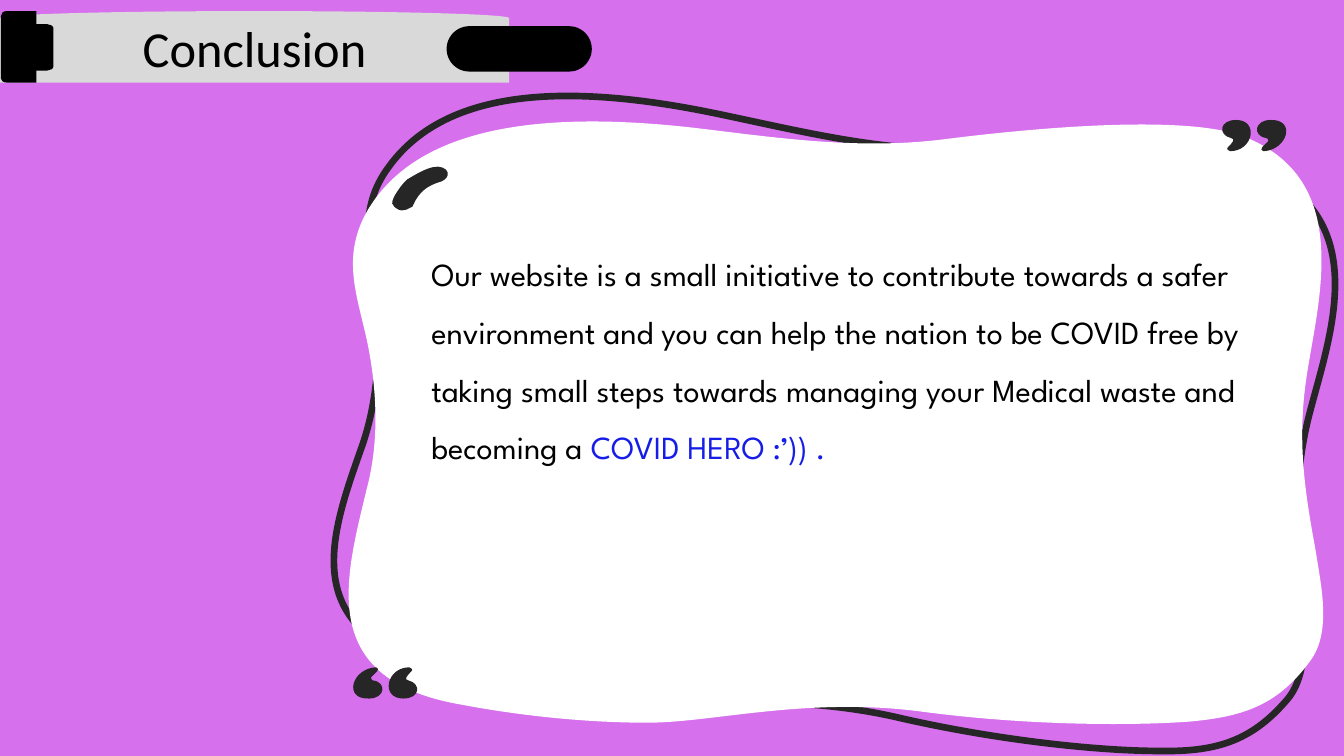
from lxml.etree import SubElement
from pptx import Presentation
from pptx.dml.color import RGBColor
from pptx.enum.shapes import MSO_SHAPE as Preset
from pptx.enum.text import MSO_ANCHOR as Anchor, MSO_AUTO_SIZE as AutoSize, PP_ALIGN as Align
from pptx.oxml.ns import qn
from pptx.util import Inches, Pt

INK, BLACK = "262626", "000000"

FRAME_LINE = [
    (8.87, 7.11), (9.9, 7.35, 10.92, 7.45, 11.5, 7.45), (12.05, 7.46, 12.4, 7.36, 12.75, 6.96),
    (13, 6.69, 12.93, 6.22, 12.9, 5.89), (12.86, 5.28, 12.83, 4.81, 12.96, 4.22),
    (13.13, 3.48, 13.66, 2.28, 12.59, 1.73), (11.99, 1.43, 10.27, 1.46, 9.63, 1.48),
    (8.77, 1.51, 7.98, 1.31, 7.17, 1.14), (5.72, 0.83, 4.45, 0.84, 3.86, 1.65),
    (3.53, 2.09, 3.68, 2.49, 3.73, 2.99), (3.78, 3.51, 3.74, 3.98, 3.6, 4.4),
    (3.29, 5.28, 2.92, 6.23, 4.32, 6.62), (4.89, 6.78, 5.54, 6.91, 6.14, 6.97),
    (6.79, 7.03, 7.74, 6.86, 8.87, 7.11),
]
WHITE_PANEL = [
    (9.14, 7.06), (10.19, 7.2, 11.22, 7.2, 11.79, 7.16), (12.35, 7.11, 12.68, 6.99, 13, 6.55),
    (13.21, 6.26, 13.1, 5.8, 13.05, 5.47), (12.94, 4.87, 12.87, 4.4, 12.95, 3.8),
    (13.05, 3.05, 13.46, 1.81, 12.35, 1.36), (11.73, 1.11, 10.01, 1.3, 9.38, 1.38),
    (8.53, 1.49, 7.73, 1.37, 6.9, 1.27), (5.43, 1.1, 4.16, 1.23, 3.65, 2.08),
    (3.37, 2.56, 3.55, 2.94, 3.65, 3.43), (3.75, 3.94, 3.75, 4.42, 3.64, 4.84),
    (3.42, 5.75, 3.13, 6.74, 4.57, 6.99), (5.15, 7.1, 5.81, 7.17, 6.42, 7.17),
    (7.07, 7.17, 8, 6.91, 9.14, 7.06),
]
CLOSING_QUOTES = [
    [(12.6, 1.19), (12.86, 1.18, 12.77, 1.49, 12.53, 1.5), (12.51, 1.5, 12.5, 1.47, 12.52, 1.46),
     (12.54, 1.44, 12.56, 1.42, 12.58, 1.4), (12.58, 1.38, 12.57, 1.37, 12.56, 1.37),
     (12.42, 1.35, 12.44, 1.19, 12.6, 1.19)],
    [(12.26, 1.19), (12.49, 1.19, 12.43, 1.5, 12.2, 1.5), (12.18, 1.5, 12.16, 1.47, 12.18, 1.46),
     (12.2, 1.44, 12.22, 1.42, 12.23, 1.4), (12.24, 1.39, 12.23, 1.37, 12.21, 1.37),
     (12.08, 1.34, 12.09, 1.19, 12.26, 1.19)],
]
QUOTE_TURN = (16.26, 8.12)
HIGHLIGHT = [
    (4.1, 2.03), (4.16, 1.9, 4.24, 1.84, 4.38, 1.8), (4.42, 1.78, 4.45, 1.75, 4.44, 1.71),
    (4.43, 1.67, 4.36, 1.64, 4.29, 1.66), (4.21, 1.68, 4.14, 1.72, 4.04, 1.78),
    (3.99, 1.82, 3.88, 1.97, 3.89, 2.02), (3.91, 2.07, 3.98, 2.12, 4.07, 2.06),
    (4.08, 2.06, 4.1, 2.05, 4.1, 2.03),
]
TITLE_BAND = [
    (5.05, 0.82), (0, 0.82), (0, 0.18), (0, 0.14, 1.13, 0.11, 2.52, 0.11),
    (3.92, 0.11, 5.05, 0.14, 5.05, 0.18),
]
MARKER_CAP = [
    (0.01, 0.78), (0.01, 0.16), (0.01, 0.13, 0.03, 0.11, 0.07, 0.11), (0.36, 0.11), (0.36, 0.24),
    (0.47, 0.24), (0.5, 0.24, 0.53, 0.26, 0.53, 0.28), (0.53, 0.66),
    (0.53, 0.68, 0.5, 0.7, 0.47, 0.7), (0.36, 0.7), (0.36, 0.82), (0.07, 0.82),
    (0.03, 0.82, 0.01, 0.8, 0.01, 0.78),
]


def color(hex_value):
    """Return the colour for a hex string."""
    return RGBColor.from_string(hex_value)


def paint(shape, fill=None, line=None, width=0):
    """Set fill and line of a shape and drop its shadow."""
    shape.shadow.inherit = False
    if fill:
        shape.fill.solid()
        shape.fill.fore_color.rgb = color(fill)
    else:
        shape.fill.background()
    if line:
        shape.line.color.rgb = color(line)
        shape.line.width = Pt(width)
    else:
        shape.line.fill.background()


def half_turn(outline):
    """Rotate an outline by 180 degrees from one quote corner to the other."""
    return [tuple(QUOTE_TURN[i % 2] - value for i, value in enumerate(segment))
            for segment in outline]


def bend(shape, segments):
    """Turn the lines of a freeform into cubic curves where a segment has handles."""
    lines = list(shape._element.iter(qn("a:lnTo")))
    for line, segment in zip(lines, segments):
        if len(segment) == 2:
            continue
        line.tag = qn("a:cubicBezTo")
        line.remove(line[0])
        for x, y in zip(segment[::2], segment[1::2]):
            SubElement(line, qn("a:pt"), x=str(Inches(x) - shape.left),
                       y=str(Inches(y) - shape.top))


def add_outline(slide, outline, **style):
    """Draw a closed freeform from a start point followed by lines and curves."""
    points = [(Inches(segment[-2]), Inches(segment[-1])) for segment in outline]
    builder = slide.shapes.build_freeform(*points[0])
    builder.add_line_segments(points[1:], close=True)
    shape = builder.convert_to_shape()
    bend(shape, outline[1:])
    paint(shape, **style)
    return shape


def add_preset(slide, preset, left, top, width, height, fill):
    """Add a filled preset shape."""
    shape = slide.shapes.add_shape(
        preset, Inches(left), Inches(top), Inches(width), Inches(height))
    paint(shape, fill)
    return shape


def add_run(paragraph, text, size, font, hex_value):
    """Append a formatted run to a paragraph."""
    run = paragraph.add_run()
    run.text = text
    run.font.size = Pt(size)
    run.font.name = font
    run.font.color.rgb = color(hex_value)


def add_backdrop(slide):
    """Cover the slide with a translucent purple."""
    shape = add_preset(slide, Preset.RECTANGLE, 0, 0, 13.33, 7.5, "B600E0")
    shade = shape._element.spPr.find(qn("a:solidFill"))[0]
    SubElement(shade, qn("a:alpha"), val="56000")


def add_title_marker(slide):
    """Draw the marker pen that carries the title."""
    band = add_outline(slide, TITLE_BAND, fill="D9D9D9")
    band.text_frame.vertical_anchor = Anchor.MIDDLE
    paragraph = band.text_frame.paragraphs[0]
    paragraph.alignment = Align.CENTER
    add_run(paragraph, "Conclusion", 36, "Calibri", BLACK)
    tip = add_preset(slide, Preset.ROUNDED_RECTANGLE, 4.43, 0.26, 1.44, 0.45, BLACK)
    tip.adjustments[0] = 0.5
    add_outline(slide, MARKER_CAP, fill=BLACK)


def add_message(slide):
    """Add the closing message."""
    box = slide.shapes.add_textbox(Inches(4.18), Inches(2.28), Inches(8.43), Inches(3.51))
    frame = box.text_frame
    frame.word_wrap = True
    frame.auto_size = AutoSize.SHAPE_TO_FIT_TEXT
    paragraph = frame.paragraphs[0]
    paragraph.line_spacing = 1.5
    add_run(paragraph, "Our website is a small initiative to contribute towards a safer "
            "environment and you can help the nation to be COVID free by taking small steps "
            "towards managing your Medical waste and becoming a ", 23, "League Spartan", BLACK)
    add_run(paragraph, "COVID HERO :’)) .", 23, "League Spartan", "161DE7")


def main():
    """Build and save the slide."""
    presentation = Presentation()
    presentation.slide_width, presentation.slide_height = Inches(13.33), Inches(7.5)
    slide = presentation.slides.add_slide(presentation.slide_layouts[6])
    add_backdrop(slide)
    add_outline(slide, FRAME_LINE, line=INK, width=4.75)
    add_outline(slide, WHITE_PANEL, fill="FFFFFF")
    for quote in CLOSING_QUOTES:
        add_outline(slide, half_turn(quote), fill=INK)
        add_outline(slide, quote, fill=INK)
    add_outline(slide, HIGHLIGHT, fill=INK)
    add_title_marker(slide)
    add_message(slide)
    presentation.save("out.pptx")


if __name__ == "__main__":
    main()
